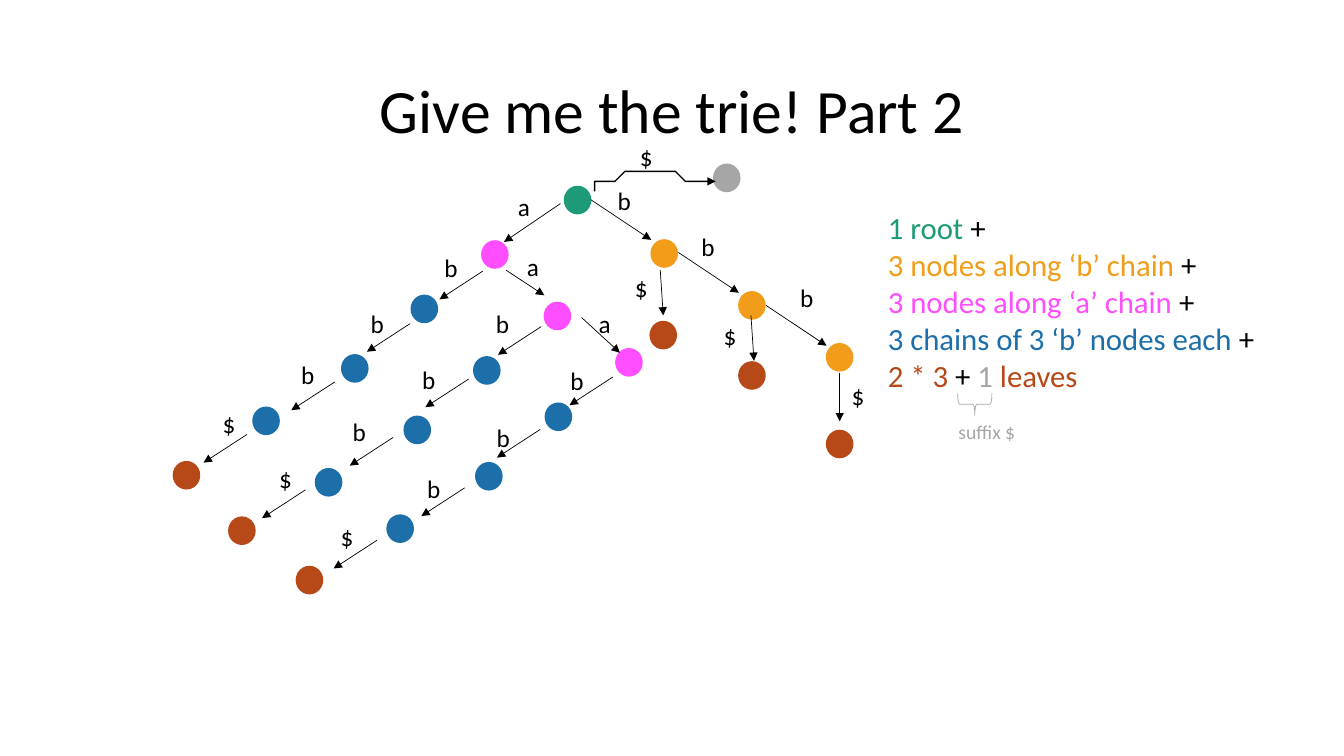
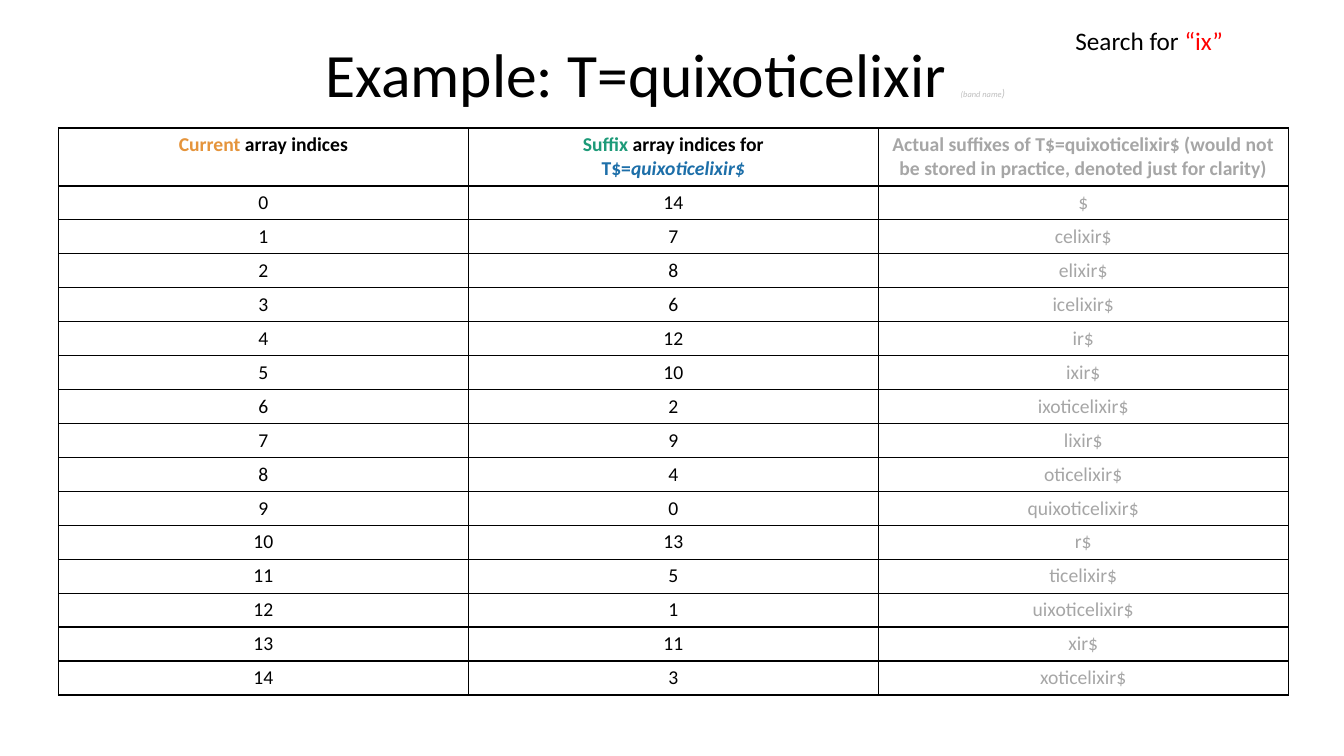
"""Build two slides: counting the nodes of a suffix trie, and a suffix array table."""
from lxml.etree import SubElement
from pptx import Presentation
from pptx.dml.color import RGBColor
from pptx.enum.shapes import MSO_CONNECTOR, MSO_SHAPE as SHAPE
from pptx.enum.text import MSO_ANCHOR as ANCHOR, PP_ALIGN as ALIGN
from pptx.oxml.ns import qn
from pptx.util import Inches, Pt

FONT = "Calibri"
BLACK = RGBColor(0x00, 0x00, 0x00)
GREEN = RGBColor(0x1D, 0x9A, 0x78)
AMBER = RGBColor(0xF1, 0x9D, 0x19)
PINK = RGBColor(0xFF, 0x4E, 0xFF)
BLUE = RGBColor(0x1D, 0x6F, 0xA9)
RUST = RGBColor(0xB7, 0x49, 0x19)
GREY = RGBColor(0xA6, 0xA6, 0xA6)
PALE = RGBColor(0xBF, 0xBF, 0xBF)
ORANGE = RGBColor(0xE5, 0x94, 0x3B)
RED = RGBColor(0xFF, 0x00, 0x00)

COLUMNS, ROWS = 133.33, 75
UNIT = Inches(0.1)
TITLE_SIZE, LABEL_SIZE, CELL_SIZE = 44, 18, 14


def write(frame, lines, size, bold=False, align=ALIGN.LEFT):
    """Fill a text frame; a line is a list of (text, colour[, size[, italic]]) runs."""
    for number, line in enumerate(lines):
        paragraph = frame.paragraphs[0] if number == 0 else frame.add_paragraph()
        paragraph.alignment = align
        for text, color, *extra in line:
            run = paragraph.add_run()
            run.text = text
            run.font.name = FONT
            run.font.size = Pt(extra[0] if extra else size)
            run.font.bold = bold
            run.font.italic = len(extra) > 1 and extra[1]
            run.font.color.rgb = color


def add_text(slide, place, lines, size, align=ALIGN.LEFT):
    """Add a wrapped text box at (left, top, width, height) in grid units."""
    frame = slide.shapes.add_textbox(*(int(n * UNIT) for n in place)).text_frame
    frame.word_wrap = True
    write(frame, lines, size, align=align)
    return frame


deck = Presentation()
deck.slide_width, deck.slide_height = int(COLUMNS * UNIT), ROWS * UNIT
blank = deck.slide_layouts[6]
trie_slide, array_slide = (deck.slides.add_slide(blank) for _ in range(2))

titles = [
    (trie_slide, 4, [("Give me the trie! Part 2", BLACK)]),
    (array_slide, 0.4, [
        ("Example: T=quixoticelixir ", BLACK),
        ("(band name", PALE, 6, True),
        (")", PALE, 8, True),
        (" ", PALE, TITLE_SIZE, True),
    ]),
]
for slide, top, runs in titles:
    title = add_text(slide, (9.2, top, 115, 14.5), [runs], TITLE_SIZE, ALIGN.CENTER)
    title.vertical_anchor = ANCHOR.MIDDLE
    title.paragraphs[0].line_spacing = 0.9

nodes = [(56, 18.5, GREEN), (70.8, 16.3, GREY)]
arrows = [
    (55.6, 20.2, -5.6, 3.8),
    (50.2, 26.8, 3.8, 2.5),
    (57.7, 31.5, 3.8, 3.5),
    (65.5, 26.8, 0.3, 4.5),
    (74.5, 31.3, 0.3, 4.5),
    (83.3, 37, 0, 4.8),
]
labels = [
    ("a", 50.4, 18.5), ("a", 51.3, 24.4), ("a", 58.4, 30.1),
    ("b", 60.3, 17.9), ("b", 68.6, 22.5), ("b", 78.4, 27.5),
    ("$", 62, 26.5), ("$", 70.8, 31.3), ("$", 83.5, 37.2),
    ("$", 62.5, 13.5),
]

for step, (leaf_x, leaf_y) in enumerate([(64.5, 31.9), (73.3, 35.9), (82, 42.7)]):
    nodes += [(64.6 + 8.7 * step, 23.8 + 5.15 * step, AMBER), (leaf_x, leaf_y, RUST)]
    arrows.append((58.6 + 8.7 * step, 19.8 + 5.25 * step, 6, 4))

chain_nodes = [(47.8, 23.9, PINK), (40.8, 29.3, BLUE), (33.9, 35.2, BLUE), (25.1, 40.4, BLUE)]
chain_arrows = [(47.9, 26.9), (40.7, 32.1), (33.2, 37.9), (24.5, 43.1)]
chain_labels = [(43.1, 24.5), (35.8, 30.1), (28.9, 35.2)]
branches = [
    ((0, 0), (0, 0), (0, 0), (21.1, 40), (17.2, 45.8)),
    ((6.2, 6.1), (5.8, 5.5), (5.1, 5.6), (26.7, 45.5), (22.7, 51.3)),
    ((13.3, 10.7), (12.9, 10.5), (12.5, 11.3), (32.8, 51.2), (29.4, 56.2)),
]
for node_shift, arrow_shift, label_shift, end_label, leaf in branches:
    nodes += [(x + node_shift[0], y + node_shift[1], color) for x, y, color in chain_nodes]
    nodes.append((*leaf, RUST))
    arrows += [(x + arrow_shift[0], y + arrow_shift[1], -4.3, 2.8) for x, y in chain_arrows]
    labels += [("b", x + label_shift[0], y + label_shift[1]) for x, y in chain_labels]
    labels.append(("$", *end_label))

for x, y, color in nodes:
    node = trie_slide.shapes.add_shape(
        SHAPE.OVAL, int(x * UNIT), int(y * UNIT), int(2.6 * UNIT), int(2.7 * UNIT))
    node.shadow.inherit = False
    node.fill.solid()
    node.fill.fore_color.rgb = color
    node.line.color.rgb = color
    node.line.width = Pt(1)

curve = [(58.6, 19)]
bends = [
    ((58.6, 19), (59.6, 18.2), (60.7, 17.5), (62.7, 17.3)),
    ((62.7, 17.3), (64.7, 17.1), (67.7, 17.5), (70.7, 17.9)),
]
for bend in bends:
    for t in (step / 12 for step in range(1, 13)):
        weights = ((1 - t) ** 3, 3 * t * (1 - t) ** 2, 3 * t ** 2 * (1 - t), t ** 3)
        curve.append(tuple(sum(w * p[axis] for w, p in zip(weights, bend)) for axis in (0, 1)))
outline = trie_slide.shapes.build_freeform(*curve[0], scale=UNIT)
outline.add_line_segments(curve[1:], close=False)
suffix_arrow = outline.convert_to_shape()
suffix_arrow.fill.background()

strokes = [(suffix_arrow, 1)]
for x, y, dx, dy in arrows:
    ends = (int(n * UNIT) for n in (x, y, x + dx, y + dy))
    strokes.append((trie_slide.shapes.add_connector(MSO_CONNECTOR.STRAIGHT, *ends), 0.5))
for stroke, width in strokes:
    stroke.line.color.rgb = BLACK
    stroke.line.width = Pt(width)
    properties = stroke.element.spPr
    SubElement(properties.find(qn("a:ln")), qn("a:tailEnd"), type="triangle")
    SubElement(properties, qn("a:effectLst"))

for letter, x, y in labels:
    add_text(trie_slide, (x, y, 3.7, 4), [[(letter, BLACK)]], LABEL_SIZE)

add_text(trie_slide, (87.1, 20.2, 40.4, 19.5), [
    [("1 root", GREEN), (" +", BLACK)],
    [("3 nodes along ‘b’ chain ", AMBER), ("+", BLACK)],
    [("3 nodes along ‘a’ chain", PINK), (" +", BLACK)],
    [("3 chains of 3 ‘b’ nodes each", BLUE), (" +", BLACK)],
    [("2 * 3 ", RUST), ("+ ", BLACK), ("1", GREY), (" leaves", RUST)],
], 22)
brace = trie_slide.shapes.add_shape(
    SHAPE.RIGHT_BRACE, int(95.6 * UNIT), int(38.4 * UNIT), int(2.2 * UNIT), int(3.4 * UNIT))
brace.rotation = 90
brace.shadow.inherit = False
brace.fill.background()
brace.line.color.rgb = GREY
brace.line.width = Pt(0.5)
add_text(trie_slide, (94.1, 41.2, 8.5, 3.4), [[("suffix $", GREY)]], 14)

word = "quixoticelixir$"
suffix_array = sorted(range(len(word)), key=lambda start: word[start:])
table_rows = [[
    [[("Current", ORANGE), (" array indices", BLACK)]],
    [[("Suffix", GREEN), (" array indices for", BLACK)],
     [("T$=", BLUE), (word, BLUE, CELL_SIZE, True)]],
    [[(f"Actual suffixes of T$={word} (would not be stored in practice, "
       "denoted just for clarity)", GREY)]],
]]
for index, start in enumerate(suffix_array):
    table_rows.append([
        [[(str(index), BLACK)]], [[(str(start), BLACK)]], [[(word[start:], GREY)]]])

table = array_slide.shapes.add_table(
    len(table_rows), 3, int(5.8 * UNIT), int(12.7 * UNIT), 122 * UNIT, int(56.3 * UNIT)).table
table.first_row = table.horz_banding = False
for column in table.columns:
    column.width = int(122 * UNIT / 3)
for row_number, row in enumerate(table_rows):
    table.rows[row_number].height = int((3.37 if row_number else 5.75) * UNIT)
    for column_number, lines in enumerate(row):
        cell = table.cell(row_number, column_number)
        write(cell.text_frame, lines, CELL_SIZE, bold=row_number == 0, align=ALIGN.CENTER)
        borders = cell._tc.get_or_add_tcPr()
        for side in ("a:lnL", "a:lnR", "a:lnT", "a:lnB"):
            edge = SubElement(borders, qn(side), w=str(Pt(1)))
            SubElement(SubElement(edge, qn("a:solidFill")), qn("a:srgbClr"), val=str(BLACK))
        cell.fill.background()

add_text(array_slide, (105.7, 2, 23.8, 4),
         [[("Search for ", BLACK), ("“ix”", RED)]], LABEL_SIZE)

deck.save("out.pptx")
